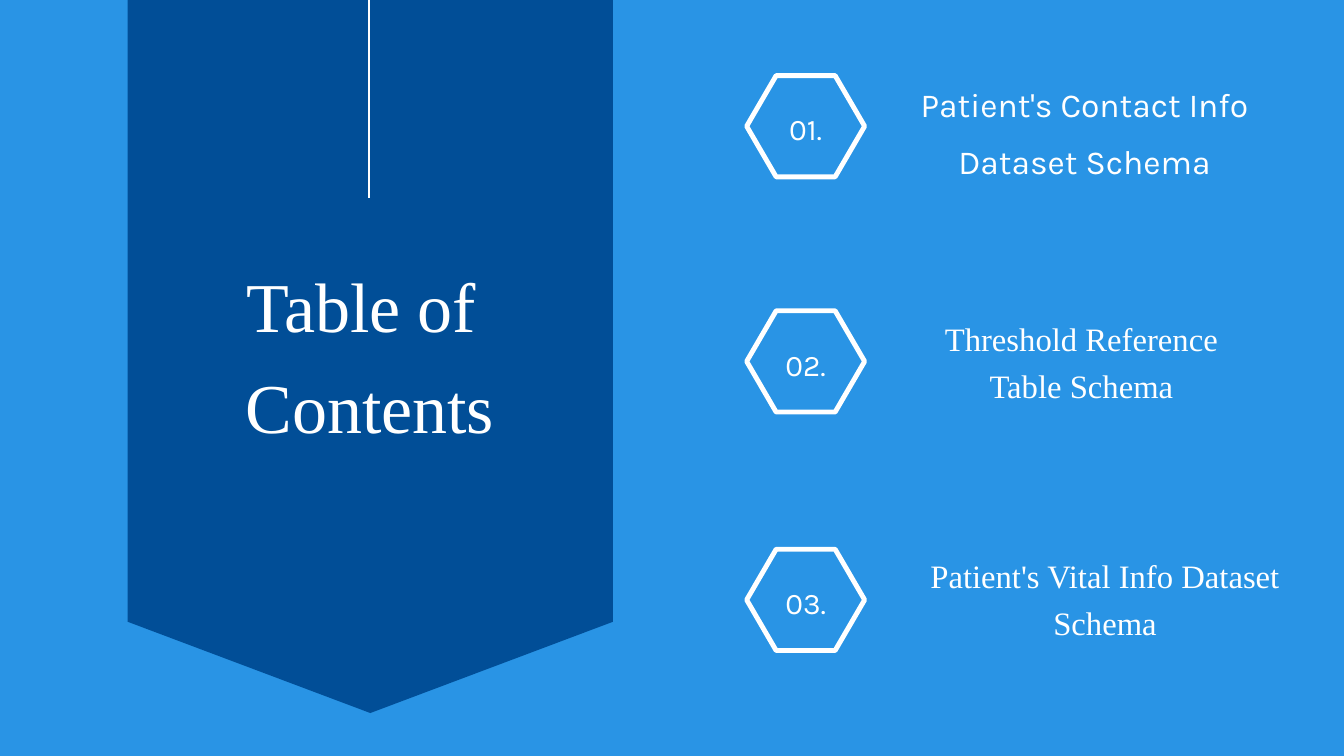
from dataclasses import dataclass

from lxml.etree import SubElement
from pptx import Presentation
from pptx.dml.color import RGBColor
from pptx.enum.shapes import MSO_CONNECTOR
from pptx.enum.text import MSO_ANCHOR, PP_ALIGN
from pptx.oxml.ns import qn
from pptx.util import Pt


@dataclass(frozen=True)
class Theme:
    """Colours, fonts and type sizes of the slide."""
    sky: RGBColor = RGBColor(0x29, 0x94, 0xE5)
    navy: RGBColor = RGBColor(0x01, 0x4E, 0x97)
    white: RGBColor = RGBColor(0xFF, 0xFF, 0xFF)
    serif: str = "Times New Roman"
    sans: str = "Karla"
    title_size: int = 75
    first_entry_size: int = 36
    entry_size: int = 35
    number_size: int = 32
    hexagon_line: float = 5.25
    ribbon_line: int = 3


THEME = Theme()


def add_text(shapes, text, box, *, size, font=THEME.serif, spacing=1.2,
             anchor=MSO_ANCHOR.TOP, inset=0):
    """Add centred white text, one paragraph per line, in the given box."""
    textbox = shapes.add_textbox(*map(Pt, box))
    frame = textbox.text_frame
    frame.word_wrap = True
    frame.vertical_anchor = anchor
    frame.margin_left = frame.margin_right = Pt(inset)
    frame.margin_top = frame.margin_bottom = Pt(inset)
    frame.text = text
    for paragraph in frame.paragraphs:
        paragraph.alignment = PP_ALIGN.CENTER
        paragraph.line_spacing = spacing
        paragraph.font.name = font
        paragraph.font.size = Pt(size)
        paragraph.font.color.rgb = THEME.white


def add_polygon(shapes, box, corners):
    """Add a closed outline whose corners are fractions of the box."""
    left, top, width, height = box
    points = [(Pt(left + x * width), Pt(top + y * height)) for x, y in corners]
    builder = shapes.build_freeform(*points[0])
    builder.add_line_segments(points[1:], close=True)
    polygon = builder.convert_to_shape()
    polygon.shadow.inherit = False
    return polygon


def add_ribbon(shapes, box):
    """Draw the pointed ribbon with its title and hanging line."""
    left, top, width, height = box
    shoulder = 0.872
    ribbon = add_polygon(shapes, box, [(1, 0), (1, shoulder), (0.5, 1),
                                       (0, shoulder), (0, 0)])
    ribbon.fill.solid()
    ribbon.fill.fore_color.rgb = THEME.navy
    ribbon.line.fill.background()

    add_text(shapes, "Table of \nContents",
             (left + 10.7, top + 263.5, width - 22, 181), size=THEME.title_size)

    line_x = Pt(left + width / 2 - 1.5)
    hanger = shapes.add_connector(MSO_CONNECTOR.STRAIGHT, line_x, Pt(top - 104.4),
                                  line_x, Pt(top + 212.4))
    hanger.line.color.rgb = THEME.white
    hanger.line.width = Pt(THEME.ribbon_line)
    SubElement(hanger.element.spPr, qn("a:effectLst"))


def add_badge(shapes, number, box):
    """Draw a hexagon outline with its number, grouped."""
    left, top, width, height = box
    badge = shapes.add_group_shape().shapes
    hexagon = add_polygon(badge, box, [(1, 0.5), (0.75, 1), (0.25, 1),
                                       (0, 0.5), (0.25, 0), (0.75, 0)])
    hexagon.fill.background()
    hexagon.line.color.rgb = THEME.white
    hexagon.line.width = Pt(THEME.hexagon_line)
    add_text(badge, f"{number:02}.", (left + 18, top - 2, width - 36, height + 2),
             size=THEME.number_size, font=THEME.sans,
             anchor=MSO_ANCHOR.MIDDLE, inset=4)


def add_entries(shapes, box):
    """Place the numbered entries down the given box."""
    left, top, width, height = box
    sans_style = dict(size=THEME.first_entry_size, font=THEME.sans, spacing=1.4)
    serif_style = dict(size=THEME.entry_size)
    entries = [
        (0, "Patient's Contact Info Dataset Schema",
         (167.5, -8, 389, 122.4), sans_style),
        (252, "Threshold Reference Table Schema",
         (170.5, 0, 376.5, 101.5), serif_style),
        (507.5, "Patient's Vital Info Dataset Schema",
         (178.5, -1.5, 411, 101.5), serif_style),
    ]
    for number, (offset, label, label_box, style) in enumerate(entries, 1):
        row_top = top + offset
        add_badge(shapes, number, (left, row_top, 126.4, 108.5))
        dx, dy, label_width, label_height = label_box
        add_text(shapes, label,
                 (left + dx, row_top + dy, label_width, label_height), **style)


def main():
    """Build and save the contents slide."""
    deck = Presentation()
    deck.slide_width, deck.slide_height = Pt(1440), Pt(810)
    slide = deck.slides.add_slide(deck.slide_layouts[6])
    slide.background.fill.solid()
    slide.background.fill.fore_color.rgb = THEME.sky
    add_ribbon(slide.shapes, (136.8, 0, 520, 764))
    add_entries(slide.shapes, (800, 81, 590, 616))
    deck.save("out.pptx")


if __name__ == "__main__":
    main()
